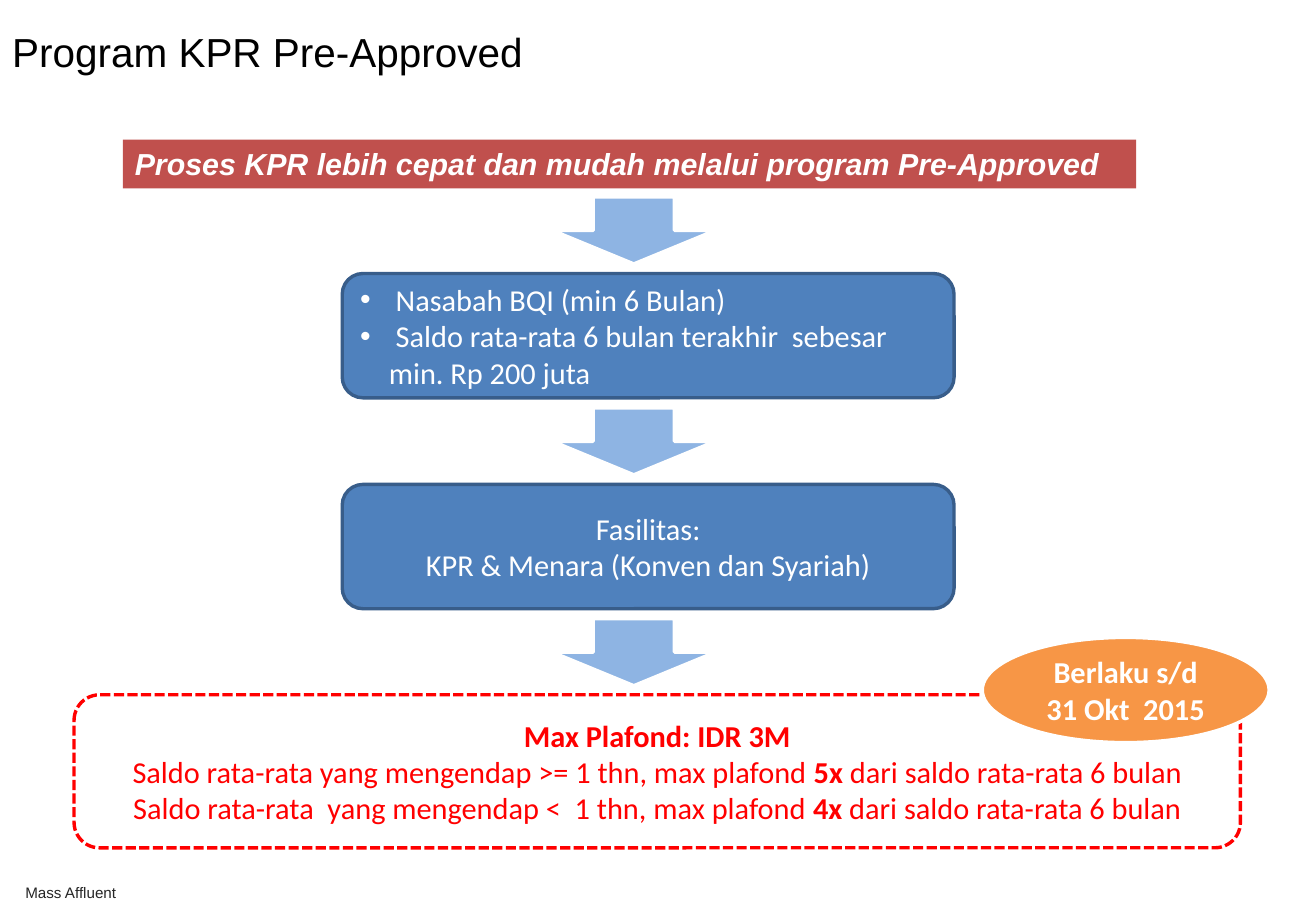
"""Build the slide on the pre-approved mortgage programme."""
import pptx
import pptx.dml.color
import pptx.enum.dml
import pptx.enum.shapes
import pptx.enum.text
import pptx.oxml.ns
import pptx.util
from lxml import etree

Cm = pptx.util.Cm
Pt = pptx.util.Pt
RGBColor = pptx.dml.color.RGBColor
SHAPE = pptx.enum.shapes.MSO_SHAPE
ALIGN = pptx.enum.text.PP_ALIGN
ANCHOR = pptx.enum.text.MSO_ANCHOR

BLACK = RGBColor(0x00, 0x00, 0x00)
WHITE = RGBColor(0xFF, 0xFF, 0xFF)
GREY = RGBColor(0x26, 0x26, 0x26)
RED = RGBColor(0xFF, 0x00, 0x00)
BRICK = RGBColor(0xC0, 0x50, 0x4D)
BLUE = RGBColor(0x4F, 0x81, 0xBD)
NAVY = RGBColor(0x38, 0x5D, 0x8A)
SKY = RGBColor(0x8E, 0xB4, 0xE3)
ORANGE = RGBColor(0xF7, 0x96, 0x46)

STEPS = [
    (True, [" Nasabah BQI (min 6 Bulan)",
            " Saldo rata-rata 6 bulan terakhir  sebesar min. Rp 200 juta"]),
    (False, ["Fasilitas:", "KPR & Menara (Konven dan Syariah)"]),
]
LIMITS = [
    [("Max Plafond: IDR 3M", True)],
    [("Saldo rata-rata yang mengendap >= 1 thn, max plafond ", False),
     ("5x", True), (" dari saldo rata-rata 6 bulan", False)],
    [("Saldo rata-rata  yang mengendap <  1 thn, max plafond ", False),
     ("4x", True), (" dari saldo rata-rata 6 bulan", False)],
]


def add_box(s, kind, x, y, w, h, fill, line=None):
    """Add a flat preset shape, its lengths given in centimetres."""
    sp = s.shapes.add_shape(kind, Cm(x), Cm(y), Cm(w), Cm(h))
    sp.shadow.inherit = False
    sp.fill.solid()
    sp.fill.fore_color.rgb = fill
    if line is None:
        sp.line.fill.background()
    else:
        sp.line.color.rgb = line
        sp.line.width = Pt(2)
    return sp


def add_bullet(p):
    """Give a paragraph a hanging white bullet."""
    pPr = p._p.get_or_add_pPr()
    pPr.set("marL", str(Cm(0.6)))
    pPr.set("indent", str(-Cm(0.6)))
    qn = pptx.oxml.ns.qn
    clr = etree.SubElement(pPr, qn("a:buClr"))
    etree.SubElement(clr, qn("a:srgbClr")).set("val", str(WHITE))
    etree.SubElement(pPr, qn("a:buFont")).set("typeface", "Arial")
    etree.SubElement(pPr, qn("a:buChar")).set("char", "•")


def write(sp, paragraphs, color, size=18, font="Calibri", align=ALIGN.CENTER,
          anchor=ANCHOR.MIDDLE, italic=False, bullets=False):
    """Fill a shape with paragraphs made of (text, bold) runs."""
    tf = sp.text_frame
    tf.word_wrap = True
    tf.auto_size = pptx.enum.text.MSO_AUTO_SIZE.NONE
    tf.vertical_anchor = anchor
    for i, runs in enumerate(paragraphs):
        p = tf.add_paragraph() if i else tf.paragraphs[0]
        if bullets:
            add_bullet(p)
        p.alignment = align
        for text, bold in runs:
            r = p.add_run()
            r.text = text
            r.font.name = font
            r.font.size = Pt(size)
            r.font.bold = bold
            r.font.italic = italic
            r.font.color.rgb = color


def add_title(s, x, y, w, h):
    """Place the slide title."""
    sp = s.shapes.title
    sp.left, sp.top, sp.width, sp.height = Cm(x), Cm(y), Cm(w), Cm(h)
    write(sp, [[("Program KPR Pre-Approved", False)]], BLACK, 24, "Arial",
          ALIGN.LEFT, ANCHOR.TOP)


def add_banner(s, x, y, w, h):
    """Draw the headline bar."""
    sp = add_box(s, SHAPE.RECTANGLE, x, y, w, h, BRICK)
    text = "Proses KPR lebih cepat dan mudah melalui program Pre-Approved"
    write(sp, [[(text, True)]], WHITE, font="Arial", align=ALIGN.LEFT,
          anchor=ANCHOR.TOP, italic=True)


def add_flow(s, x, y, w, pitch):
    """Stack the step cards, with an arrow before each and one at the end."""
    for i in range(len(STEPS) + 1):
        add_box(s, SHAPE.DOWN_ARROW, x + 4.4, y + i * pitch, 3.4, 1.4,
                SKY, WHITE)
    for i, (bullets, lines) in enumerate(STEPS):
        sp = add_box(s, SHAPE.ROUNDED_RECTANGLE, x, y + 1.6 + i * pitch,
                     w, 2.6, BLUE, NAVY)
        write(sp, [[(line, False)] for line in lines], WHITE,
              align=ALIGN.LEFT if bullets else ALIGN.CENTER, bullets=bullets)


def add_limits(s, x, y, w, h):
    """Draw the dashed credit limit box with its validity badge."""
    sp = add_box(s, SHAPE.ROUNDED_RECTANGLE, x, y, w, h, WHITE, RED)
    sp.line.dash_style = pptx.enum.dml.MSO_LINE.SQUARE_DOT
    write(sp, LIMITS, RED)
    sp = add_box(s, SHAPE.OVAL, x + w - 5.4, y - 1.2, 6, 2.2, ORANGE, WHITE)
    write(sp, [[("Berlaku s/d 31 Okt  2015", True)]], WHITE)


def add_footer(s, x, y, w, h):
    """Write the customer segment at the bottom."""
    sp = s.shapes.add_textbox(Cm(x), Cm(y), Cm(w), Cm(h))
    write(sp, [[("Mass Affluent", False)]], GREY, 9, "Arial", ALIGN.LEFT,
          ANCHOR.TOP)


def main():
    """Assemble and save the slide."""
    prs = pptx.Presentation()
    prs.slide_width, prs.slide_height = Cm(27.53), Cm(19.05)
    s = prs.slides.add_slide(prs.slide_layouts[5])
    add_title(s, 0, 0.43, 19.76, 1.27)
    add_banner(s, 2.57, 2.92, 21.2, 1.02)
    add_flow(s, 7.16, 4.12, 12.8, 4.41)
    add_limits(s, 1.55, 14.53, 24.4, 3.2)
    add_footer(s, 0.28, 18.34, 15.88, 0.64)
    prs.save("out.pptx")


if __name__ == "__main__":
    main()
